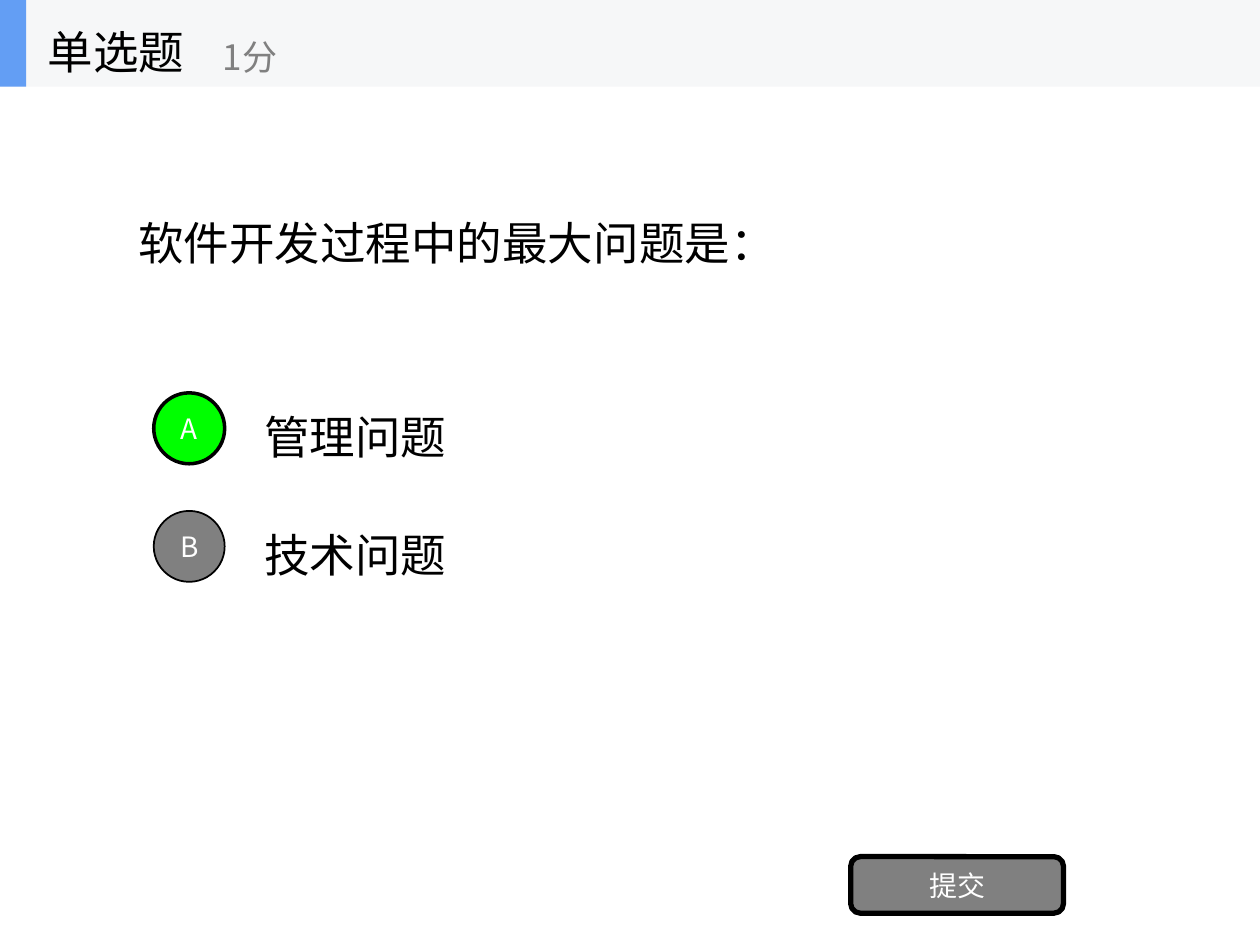
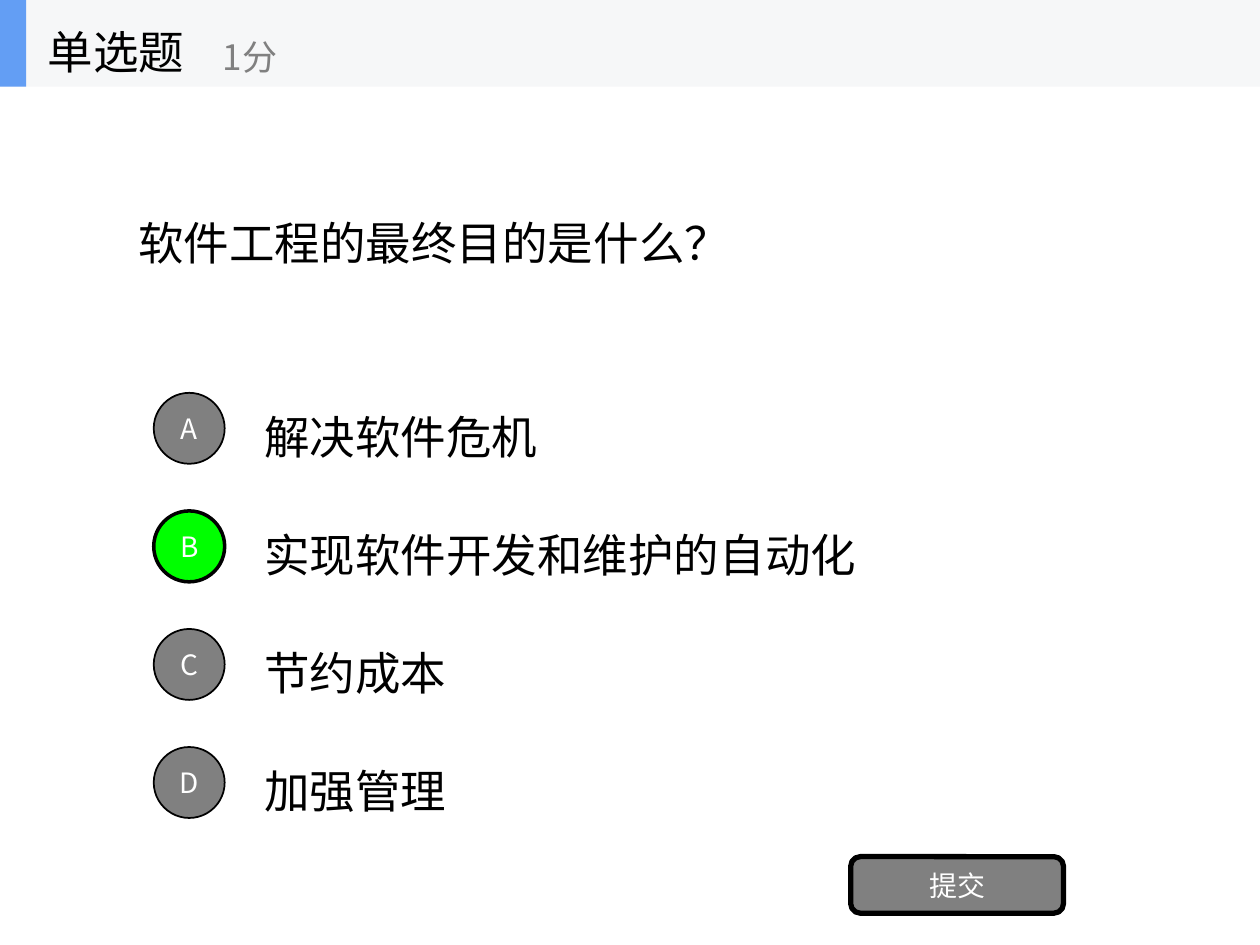
from pptx import Presentation
from pptx.util import Cm, Pt
from pptx.dml.color import RGBColor as RGB
from pptx.enum.shapes import MSO_SHAPE as Kind
from pptx.enum.text import MSO_ANCHOR as Anchor, PP_ALIGN as Align
from pptx.oxml.ns import qn
from lxml.etree import SubElement

FACE = "Noto Sans CJK SC"
HUES = {"ink": "000000", "paper": "FFFFFF", "gray": "808080",
        "right": "00FF00", "band": "F6F7F8", "mark": "639EF4"}
TALL = 1.75  # header height
STEP = 2.38  # distance between answer rows

QUIZ = [
    ("软件开发过程中的最大问题是：", ["管理问题", "技术问题"], "A"),
    ("软件工程的最终目的是什么？",
     ["解决软件危机", "实现软件开发和维护的自动化", "节约成本", "加强管理"], "B"),
]


def write(shape, text, size, hue, align=Align.LEFT, lead=1.3):
    frame = shape.text_frame
    frame.word_wrap = True
    frame.vertical_anchor = Anchor.MIDDLE
    para = frame.paragraphs[0]
    para.text = text
    para.alignment = align
    para.line_spacing = lead
    font = para.font
    font.size = Pt(size)
    font.color.rgb = RGB.from_string(HUES[hue])
    font.name = FACE
    # East Asian face for the Chinese characters
    props = para._p.pPr.find(qn("a:defRPr"))
    SubElement(props, qn("a:ea"), typeface=FACE)


def draw(shapes, kind, box, fill, width=0, text=""):
    shape = shapes.add_shape(kind, *map(Cm, box))
    shape.shadow.inherit = False
    shape.fill.solid()
    shape.fill.fore_color.rgb = RGB.from_string(HUES[fill])
    if width:
        shape.line.color.rgb = RGB.from_string(HUES["ink"])
        shape.line.width = Pt(width)
    else:
        shape.line.fill.background()
    if text:
        write(shape, text, 16, "paper", Align.CENTER, 1.0)
    return shape


deck = Presentation()
deck.slide_width, deck.slide_height = Cm(25.4), Cm(19.05)

for ask, picks, key in QUIZ:
    shapes = deck.slides.add_slide(deck.slide_layouts[6]).shapes

    # Question
    write(shapes.add_textbox(Cm(2.54), Cm(TALL), Cm(20.32), Cm(5.95)),
          ask, 26, "ink")

    # Answers
    for row, pick in enumerate(picks):
        write(shapes.add_textbox(Cm(5.08), Cm(7.74 + row * STEP),
                                 Cm(17.78), Cm(1.78)), pick, 26, "ink")

    # Letter buttons, the right one in green
    for row, mark in enumerate("ABCD"[:len(picks)]):
        fill, width = ("right", 2) if mark == key else ("gray", 1)
        draw(shapes, Kind.OVAL, (3.1, 7.92 + row * STEP, 1.43, 1.43),
             fill, width, mark)

    # Submit button
    send = draw(shapes, Kind.ROUNDED_RECTANGLE, (17.15, 17.27, 4.29, 1.14),
                "gray", 3, "提交")
    send.adjustments[0] = 0.17

    # Header
    head = shapes.add_group_shape().shapes
    draw(head, Kind.RECTANGLE, (0, 0, 25.4, TALL), "band")
    draw(head, Kind.RECTANGLE, (0, 0, 0.53, TALL), "mark")
    write(head.add_textbox(Cm(0.71), 0, Cm(5.28), Cm(TALL)),
          "单选题", 26, "ink")
    write(head.add_textbox(Cm(4.24), Cm(0.3), Cm(6.35), Cm(1.42)),
          "1分", 20, "gray")

deck.save("out.pptx")
